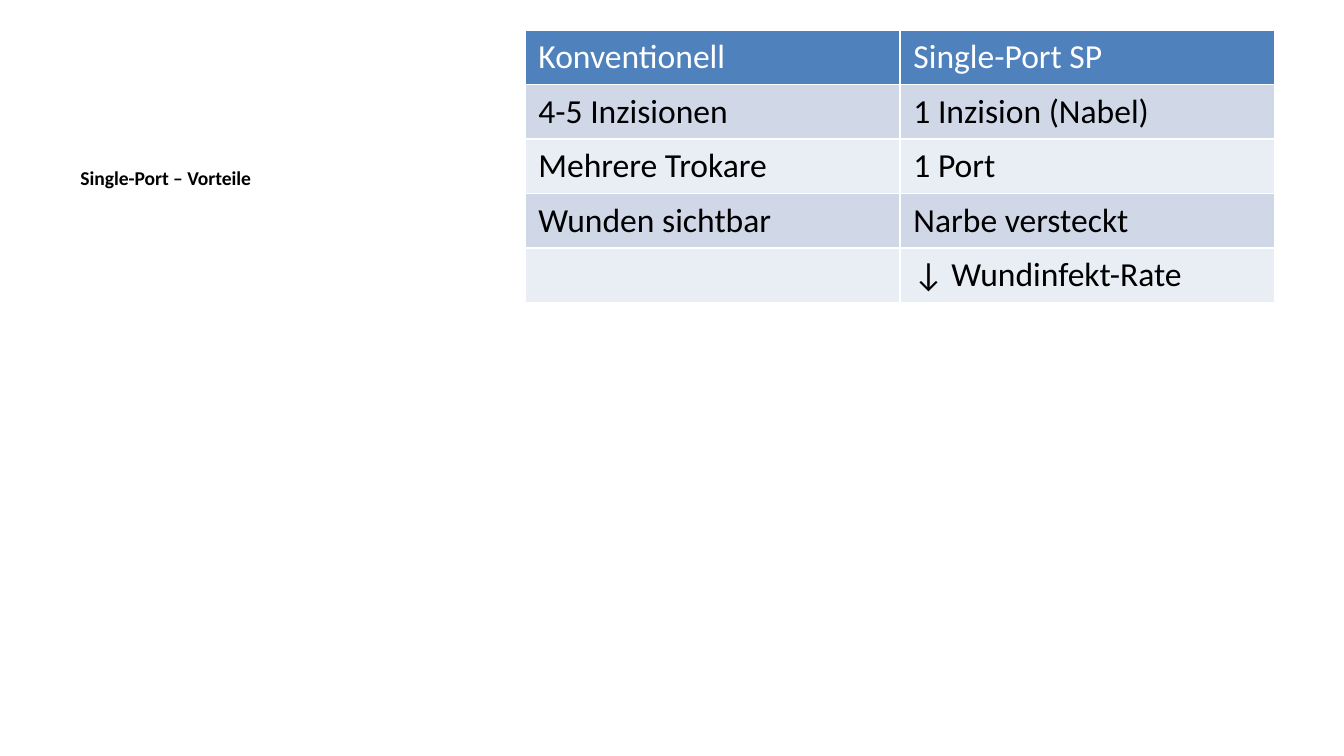
from pptx import Presentation
from pptx.dml.color import RGBColor
from pptx.util import Pt

WHITE = RGBColor(0xFF, 0xFF, 0xFF)
BLACK = RGBColor(0x00, 0x00, 0x00)
BLUE = RGBColor(0x4F, 0x81, 0xBD)
BAND_DARK = RGBColor(0xD0, 0xD8, 0xE8)
BAND_LIGHT = RGBColor(0xE9, 0xED, 0xF4)

ROWS = [
    ("Konventionell", "Single-Port SP"),
    ("4-5 Inzisionen", "1 Inzision (Nabel)"),
    ("Mehrere Trokare", "1 Port"),
    ("Wunden sichtbar", "Narbe versteckt"),
    ("", "↓ Wundinfekt-Rate"),
]


def px(n):
    return round(n * 914400 / 134.4)


def style(font, size, color, bold):
    font.name = "Calibri"
    font.size = Pt(size)
    font.bold = bold
    font.color.rgb = color


prs = Presentation()
prs.slide_width, prs.slide_height = px(1344), px(756)
s = prs.slides.add_slide(prs.slide_layouts.get_by_name("Content with Caption"))
for sp in list(s.placeholders):
    if sp.placeholder_format.idx != 2:
        sp.element.getparent().remove(sp.element)

body = s.placeholders[2]
body.left, body.top, body.width, body.height = px(67), px(159), px(442), px(517)
p = body.text_frame.paragraphs[0]
p.space_before = Pt(0)
r = p.add_run()
r.text = "Single-Port – Vorteile"
style(r.font, 10.5, BLACK, True)

table = s.shapes.add_table(len(ROWS), 2, px(525), px(30), px(750), px(54 * len(ROWS))).table
for i, row in enumerate(ROWS):
    for j, text in enumerate(row):
        cell = table.cell(i, j)
        cell.fill.solid()
        cell.fill.fore_color.rgb = BLUE if i == 0 else BAND_DARK if i % 2 else BAND_LIGHT
        cell.text = text
        p = cell.text_frame.paragraphs[0]
        for r in p.runs:
            style(r.font, 18, BLACK if i else WHITE, False)

prs.save("out.pptx")
